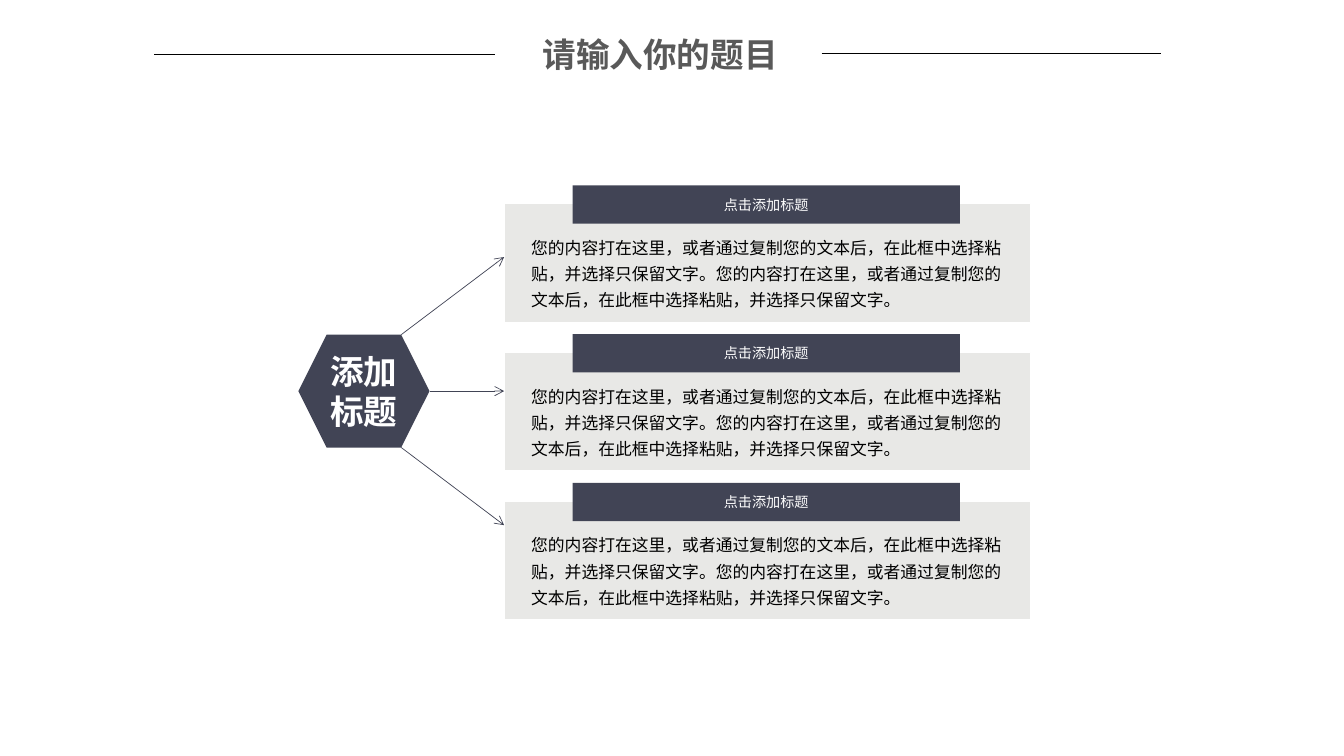
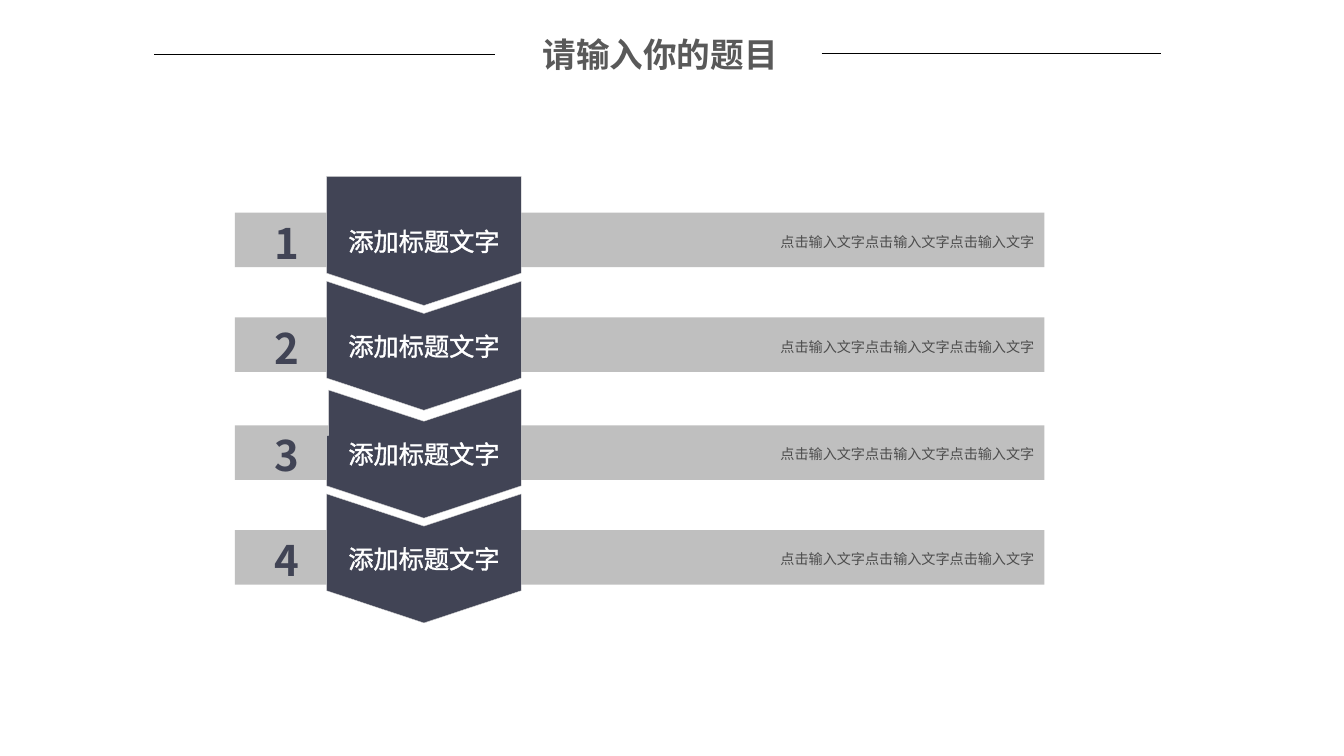
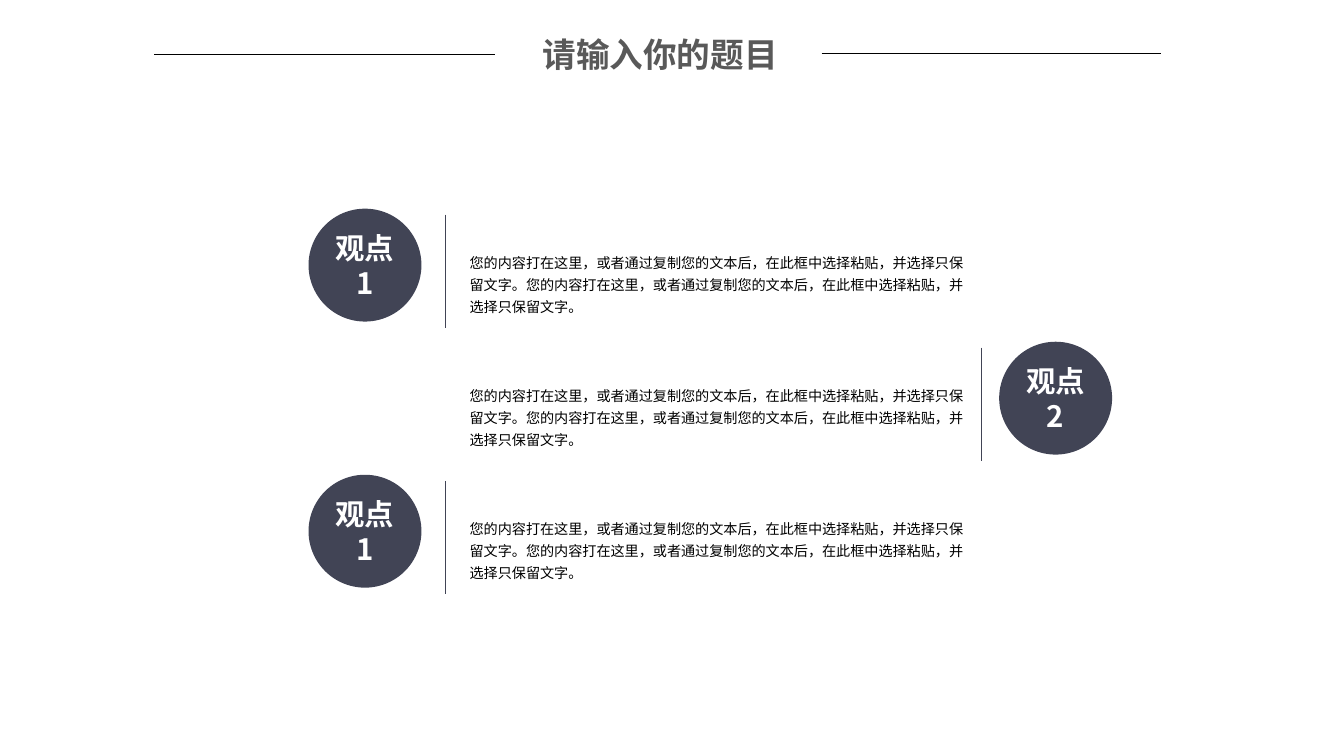
from lxml import etree
from pptx import Presentation
from pptx.dml.color import RGBColor
from pptx.enum.shapes import MSO_CONNECTOR, MSO_SHAPE
from pptx.enum.text import MSO_ANCHOR, MSO_AUTO_SIZE, PP_ALIGN
from pptx.oxml.ns import qn
from pptx.util import Inches, Pt

RECT, HEXAGON, OVAL = MSO_SHAPE.RECTANGLE, MSO_SHAPE.HEXAGON, MSO_SHAPE.OVAL
STRAIGHT = MSO_CONNECTOR.STRAIGHT
TOP, MIDDLE = MSO_ANCHOR.TOP, MSO_ANCHOR.MIDDLE
LEFT, CENTER, RIGHT = PP_ALIGN.LEFT, PP_ALIGN.CENTER, PP_ALIGN.RIGHT
NO_AUTOFIT = MSO_AUTO_SIZE.NONE

# Content
TITLE = "请输入你的题目"
SENTENCE = "您的内容打在这里,或者通过复制您的文本后,在此框中选择粘贴,并选择只保留文字。".replace(",", "\uff0c")
BODY = SENTENCE * 2
HUB = "添加标题"
CARDS = [("点击添加标题", BODY)] * 3
STEPS = [(str(number), "添加标题文字", "点击输入文字" * 3) for number in range(1, 5)]
VIEWS = [("观点1", BODY, "left"), ("观点2", BODY, "right"), ("观点1", BODY, "left")]

# Shared style
FONT = "Noto Sans CJK SC"
NAVY = RGBColor(0x41, 0x44, 0x55)
PANEL = RGBColor(0xE8, 0xE8, 0xE6)
STRIP = RGBColor(0xBF, 0xBF, 0xBF)
EDGE = RGBColor(0xD7, 0xD7, 0xD7)
TITLE_GRAY = RGBColor(0x59, 0x59, 0x59)
STRIP_TEXT = RGBColor(0x4D, 0x4D, 0x4D)
BLACK = RGBColor(0, 0, 0)
WHITE = RGBColor(0xFF, 0xFF, 0xFF)
SMALL = 10.1
TITLE_RULES = [(1.53, 0.54, 4.91), (8.15, 0.53, 11.52)]

deck = Presentation()
deck.slide_width, deck.slide_height = Inches(13.33), Inches(7.5)


def write(shape, text, size, color, bold=False, align=CENTER, anchor=MIDDLE, spacing=None):
    frame = shape.text_frame
    frame.word_wrap = True
    frame.auto_size = NO_AUTOFIT
    frame.vertical_anchor = anchor
    frame.text = text
    paragraph = frame.paragraphs[0]
    paragraph.alignment = align
    if spacing:
        paragraph.line_spacing = spacing
    font = paragraph.font
    font.name, font.size, font.bold = FONT, Pt(size), bold
    font.color.rgb = color
    defaults = paragraph._p.pPr.find(qn("a:defRPr"))
    etree.SubElement(defaults, qn("a:ea")).set("typeface", FONT)
    return defaults


def paint(shape, fill, edge=None, weight=1):
    shape.shadow.inherit = False
    shape.fill.solid()
    shape.fill.fore_color.rgb = fill
    if edge is None:
        shape.line.fill.background()
    else:
        shape.line.color.rgb = edge
        shape.line.width = Pt(weight)
    return shape


def add_block(slide, kind, box, fill, edge=None):
    return paint(slide.shapes.add_shape(kind, *map(Inches, box)), fill, edge)


def add_text(slide, box, *args, **kwargs):
    write(slide.shapes.add_textbox(*map(Inches, box)), *args, **kwargs)


def add_line(slide, start, end, color=NAVY, arrow=False):
    line = slide.shapes.add_connector(STRAIGHT, *map(Inches, start + end))
    line.line.color.rgb = color
    line.line.width = Pt(0.5)
    if arrow:
        etree.SubElement(line.line._get_or_add_ln(), qn("a:tailEnd")).set("type", "arrow")
    etree.SubElement(line._element.spPr, qn("a:effectLst"))


def add_titled_slide():
    slide = deck.slides.add_slide(deck.slide_layouts[5])
    for left, y, right in TITLE_RULES:
        add_line(slide, (left, y), (right, y), BLACK)
    title = slide.shapes.title
    title.left, title.top, title.width, title.height = map(Inches, (5.28, 0.29, 2.84, 0.5))
    write(title, TITLE, 24, TITLE_GRAY, bold=True, align=LEFT)
    return slide


# Slide 1: hub pointing to three cards
slide = add_titled_slide()
CARD_LEFT, CARD_TOP, CARD_PITCH = 5, 1.84, 1.475
HUB_LEFT, HUB_TOP, HUB_W, HUB_H = 2.96, 3.32, 1.3, 1.12
corner = HUB_LEFT + HUB_W - HUB_H / 4
hub_middle = HUB_TOP + HUB_H / 2
for row, (heading, body) in enumerate(CARDS):
    top = CARD_TOP + row * CARD_PITCH
    add_block(slide, RECT, (CARD_LEFT, top + 0.18, 5.22, 1.18), PANEL, WHITE)
    header = add_block(slide, RECT, (CARD_LEFT + 0.68, top, 3.84, 0.38), NAVY)
    write(header, heading, SMALL, WHITE)
    add_text(slide, (CARD_LEFT + 0.17, top + 0.41, 4.96, 0.89), body, 12, BLACK,
             align=LEFT, anchor=TOP, spacing=1.3)
hub = add_block(slide, HEXAGON, (HUB_LEFT, HUB_TOP, HUB_W, HUB_H), NAVY)
write(hub, HUB, 24, WHITE, bold=True)
for side in (-1, 0, 1):
    start_x = corner if side else HUB_LEFT + HUB_W
    add_line(slide, (start_x, hub_middle + side * HUB_H / 2),
             (CARD_LEFT, hub_middle + side * 1.33), arrow=True)

# Slide 2: four chevron steps over strips
slide = add_titled_slide()
STEP_TOPS = (2.11, 3.15, 4.22, 5.26)
CHEVRON_LEFT, CHEVRON_W, SIDE, POINT = 3.24, 1.93, 0.96, 0.32
HALF = CHEVRON_W / 2
LOWER_EDGE = [(CHEVRON_W, 0), (CHEVRON_W, SIDE), (HALF, SIDE + POINT), (0, SIDE)]
FLAT = [(0, 0)] + LOWER_EDGE
NOTCHED = [(HALF, POINT)] + LOWER_EDGE + [(0, 0)]
STEPPED = [(HALF, POINT)] + LOWER_EDGE + [(0, 0.46), (0.02, 0.46), (0.02, 0.01)]
OUTLINES = (FLAT, NOTCHED, STEPPED, NOTCHED)

for top, (number, _, note) in zip(STEP_TOPS, STEPS):
    strip = add_block(slide, RECT, (2.33, top, 8.03, 0.54), STRIP)
    write(strip, note, SMALL, STRIP_TEXT, align=RIGHT, spacing=1.2)
    add_text(slide, (2.45, top - 0.01, 0.8, 0.61), number, 30, NAVY, bold=True)
for top, outline, (_, heading, _) in zip(STEP_TOPS, OUTLINES, STEPS):
    points = [(Inches(CHEVRON_LEFT + x), Inches(top - 0.36 + y)) for x, y in outline]
    builder = slide.shapes.build_freeform(*points[0])
    builder.add_line_segments(points[1:], close=True)
    chevron = paint(builder.convert_to_shape(), NAVY, EDGE, 0.25)
    chevron.text_frame.margin_left = chevron.text_frame.margin_right = 0
    defaults = write(chevron, heading, 18, WHITE)
    # White outline around the letters
    outline_ln = etree.Element(qn("a:ln"), w=str(Pt(0.75)))
    letter_fill = etree.SubElement(outline_ln, qn("a:solidFill"))
    etree.SubElement(letter_fill, qn("a:srgbClr")).set("val", str(WHITE))
    defaults.insert(0, outline_ln)

# Slide 3: three views on alternating sides
slide = add_titled_slide()
VIEW_TOP, VIEW_PITCH, DISC = 2.07, 1.32, 1.12
SIDES = {"left": (3.06, 4.42), "right": (9.91, 9.73)}
for row, (label, body, side) in enumerate(VIEWS):
    top = VIEW_TOP + row * VIEW_PITCH
    disc_left, rule_x = SIDES[side]
    disc = add_block(slide, OVAL, (disc_left, top, DISC, DISC), NAVY)
    write(disc, label, 21, WHITE, bold=True)
    add_text(slide, (4.56, top + 0.35, 5.17, 0.77), body, SMALL, BLACK,
             align=LEFT, anchor=TOP, spacing=1.3)
    add_line(slide, (rule_x, top + 0.06), (rule_x, top + 0.06 + DISC))

deck.save("out.pptx")
